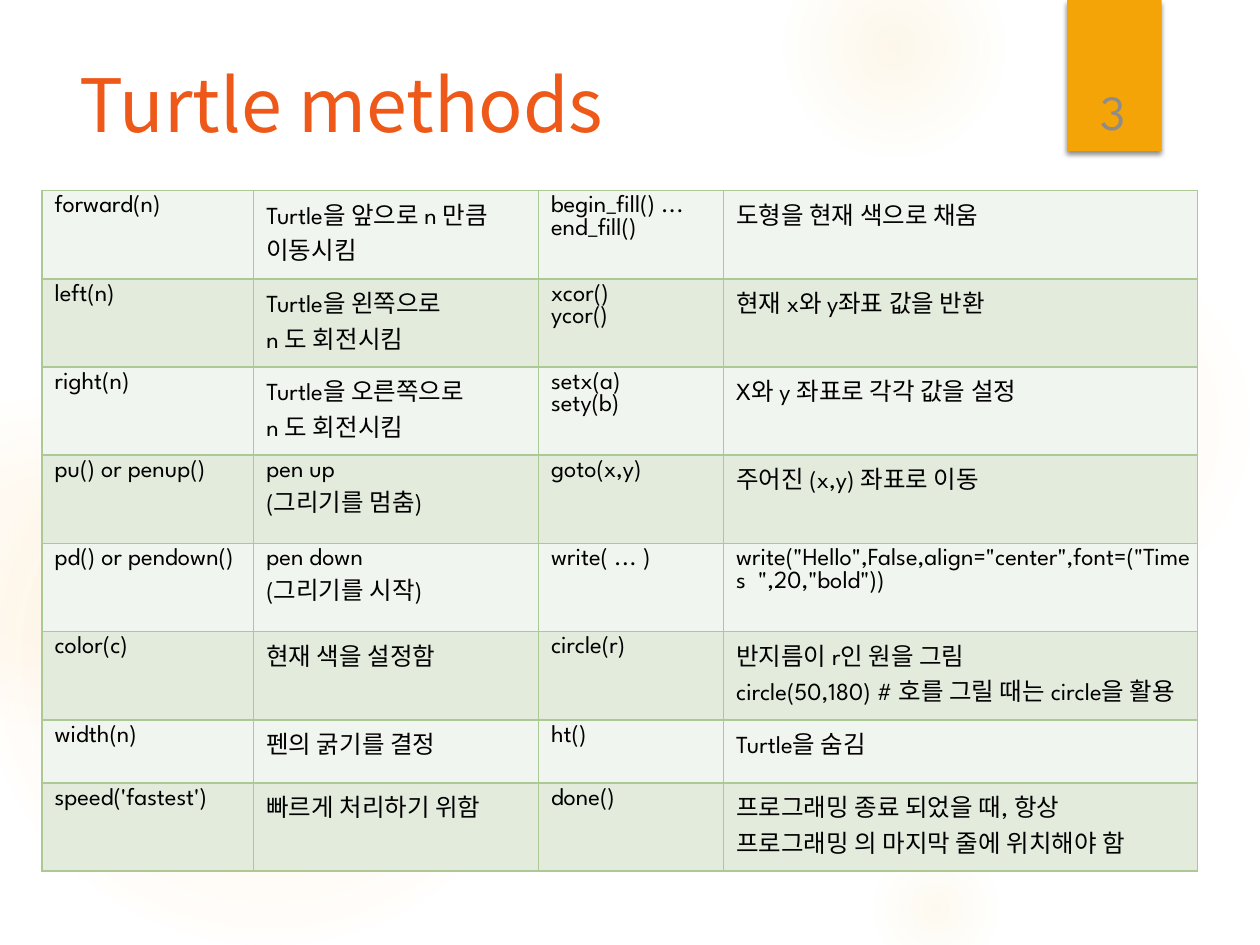
from dataclasses import dataclass

from lxml import etree
from pptx import Presentation
from pptx import util as u
from pptx.dml.color import RGBColor
from pptx.enum import shapes, text
from pptx.oxml.ns import qn

COLORS = {"glow": "FAC96A", "tab": "F5A408", "title": "EE5818", "number": "8C8C8C",
          "text": "000000", "border": "ACC995", "odd": "F1F5EF", "even": "E3EBDD"}
LATIN, KOREAN = "League Spartan", "Noto Sans CJK KR"


@dataclass
class Glow:
    left: float
    top: float
    size: float
    stops: tuple  # (position %, opacity %)


@dataclass
class Label:
    words: str
    box: tuple  # left, top, width, height
    font: str
    size: float
    color: str
    frame: dict
    para: dict


GLOWS = [
    Glow(496, 132, 222, ((0, 7), (36, 6), (69, 0))),
    Glow(448, -36, 126, ((0, 14), (36, 7), (73, 0))),
    Glow(496, 480, 78, ((0, 10), (31, 5), (66, 0))),
    Glow(-12, 210, 330, ((0, 11), (36, 10), (75, 0))),
    Glow(-66, 228, 186, ((0, 8), (36, 8), (72, 0))),
]

LABELS = [
    Label("Turtle methods", (38.2, 36, 556, 110), KOREAN, 42, "title",
          {"vertical_anchor": text.MSO_ANCHOR.TOP}, {"line_spacing": 0.9}),
    Label("3", (611.3, 23, 49.7, 60.5), LATIN, 28, "number",
          {"vertical_anchor": text.MSO_ANCHOR.BOTTOM},
          {"alignment": text.PP_ALIGN.CENTER}),
]

COLUMNS = [121, 162.7, 105.8, 270.7]
ROW_HEIGHTS = [50.4] * 6 + [36, 50.4]
METHODS = [
    ("forward(n)", "Turtle을 앞으로 n 만큼\n이동시킴",
     "begin_fill() ...\nend_fill()", "도형을 현재 색으로 채움"),
    ("left(n)", "Turtle을 왼쪽으로\nn 도 회전시킴",
     "xcor()\nycor()", "현재 x와 y좌표 값을 반환"),
    ("right(n)", "Turtle을 오른쪽으로\nn 도 회전시킴",
     "setx(a)\nsety(b)", "X와 y 좌표로 각각 값을 설정"),
    ("pu() or penup()", "pen up\n(그리기를 멈춤)",
     "goto(x,y)", "주어진 (x,y) 좌표로 이동"),
    ("pd() or pendown()", "pen down\n(그리기를 시작)", "write( ... )",
     'write("Hello",False,align="center",font=("Times  ",20,"bold"))'),
    ("color(c)", "현재 색을 설정함", "circle(r)",
     "반지름이 r인 원을 그림\ncircle(50,180) # 호를 그릴 때는 circle을 활용"),
    ("width(n)", "펜의 굵기를 결정", "ht()", "Turtle을 숨김"),
    ("speed('fastest')", "빠르게 처리하기 위함", "done()",
     "프로그래밍 종료 되었을 때, 항상\n프로그래밍 의 마지막 줄에 위치해야 함"),
]


def rgb(name: str) -> RGBColor:
    return RGBColor.from_string(COLORS[name])


def pts(*values: float) -> list:
    return [u.Pt(v) for v in values]


def apply(target, values: dict) -> None:
    for key, value in values.items():
        setattr(target, key, value)


def sub(parent, tag: str, **attrs):
    return etree.SubElement(parent, qn(tag), {k: str(v) for k, v in attrs.items()})


def add_color(parent, color: str, opacity: int = 100) -> None:
    sub(sub(parent, "a:srgbClr", val=color), "a:alpha", val=opacity * 1000)


def add_run(p, words: str, font: str, size: float, color: str) -> None:
    r = p.add_run()
    r.text = words
    apply(r.font, {"name": font, "size": u.Pt(size)})
    r.font.color.rgb = rgb(color)
    sub(r.font._element, "a:ea", typeface=KOREAN)


def draw_glow(s, glow: Glow) -> None:
    sp = s.shapes.add_shape(shapes.MSO_SHAPE.OVAL,
                            *pts(glow.left, glow.top, glow.size, glow.size))
    sp.shadow.inherit = False
    sp.line.fill.background()
    sp.fill.gradient()
    grad = sp._element.spPr.find(qn("a:gradFill"))
    for child in list(grad):
        grad.remove(child)
    stops = sub(grad, "a:gsLst")
    for position, opacity in glow.stops:
        add_color(sub(stops, "a:gs", pos=position * 1000), COLORS["glow"], opacity)
    centre = sub(grad, "a:path", path="circle")
    sub(centre, "a:fillToRect", l=50000, t=50000, r=50000, b=50000)


def draw_tab(s) -> None:
    sp = s.shapes.add_shape(shapes.MSO_SHAPE.RECTANGLE, *pts(609.8, 0, 54, 86.4))
    sp.fill.solid()
    sp.fill.fore_color.rgb = rgb("tab")
    sp.line.fill.background()
    sp.shadow.inherit = False
    effects = sp._element.spPr.find(qn("a:effectLst"))
    shadow = sub(effects, "a:outerShdw", blurRad=u.Pt(3), dist=u.Pt(2),
                 dir=90 * 60000, rotWithShape=0)
    add_color(shadow, COLORS["text"], 45)


def fill_cell(cell, words: str, fill: str) -> None:
    apply(cell, {"margin_left": u.Pt(7.2), "margin_right": 0,
                 "margin_top": u.Pt(2.9), "margin_bottom": 0})
    # Borders come before the fill in the cell properties
    tc_pr = cell._tc.get_or_add_tcPr()
    for side in ("a:lnL", "a:lnR", "a:lnT", "a:lnB"):
        line = sub(tc_pr, side, w=u.Pt(1))
        add_color(sub(line, "a:solidFill"), COLORS["border"])
    cell.fill.solid()
    cell.fill.fore_color.rgb = rgb(fill)
    tf = cell.text_frame
    for i, line_words in enumerate(words.split("\n")):
        p = tf.add_paragraph() if i else tf.paragraphs[0]
        p.space_before = u.Pt(0 if i else 2.9)
        add_run(p, line_words, LATIN, 14, "text")


def draw_table(s) -> None:
    frame = s.shapes.add_table(len(METHODS), len(COLUMNS),
                               *pts(24, 108.9, sum(COLUMNS), sum(ROW_HEIGHTS)))
    table = frame.table
    for column, width in zip(table.columns, COLUMNS):
        column.width = u.Pt(width)
    for i, (row, height) in enumerate(zip(table.rows, ROW_HEIGHTS)):
        row.height = u.Pt(height)
        for cell, words in zip(row.cells, METHODS[i]):
            fill_cell(cell, words, "even" if i % 2 else "odd")


def draw_label(s, label: Label) -> None:
    tf = s.shapes.add_textbox(*pts(*label.box)).text_frame
    apply(tf, {"word_wrap": True, **label.frame})
    p = tf.paragraphs[0]
    apply(p, label.para)
    add_run(p, label.words, label.font, label.size, label.color)


def main() -> None:
    prs = Presentation()
    apply(prs, {"slide_width": u.Pt(720), "slide_height": u.Pt(540)})
    s = prs.slides.add_slide(prs.slide_layouts[6])
    # Background
    for glow in GLOWS:
        draw_glow(s, glow)
    draw_tab(s)
    # Content
    draw_table(s)
    for label in LABELS:
        draw_label(s, label)
    prs.save("out.pptx")


if __name__ == "__main__":
    main()
